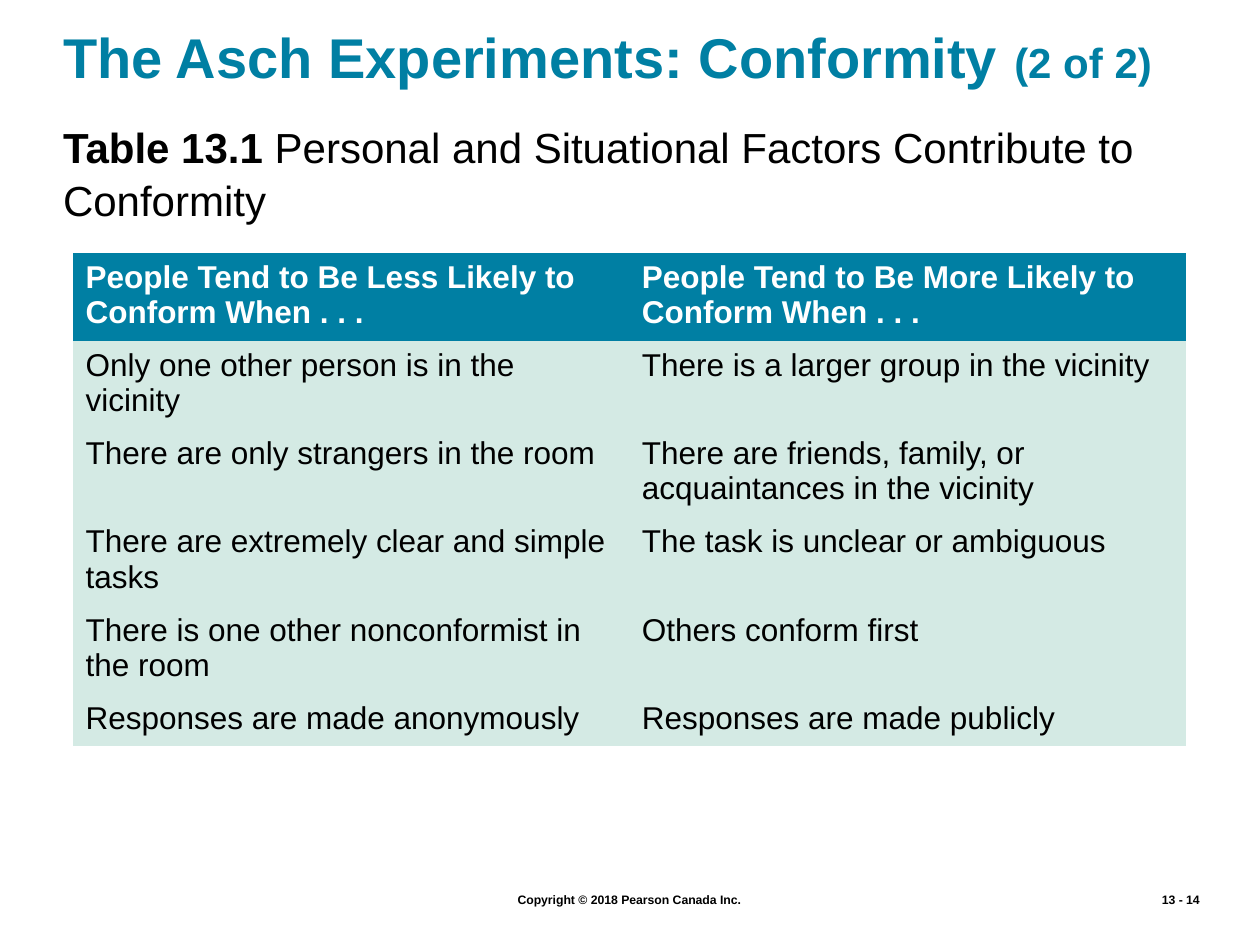
from lxml import etree
from pptx import Presentation
from pptx import util as u
from pptx.dml.color import RGBColor
from pptx.enum import text
from pptx.oxml.ns import qn

THEME = {
    "font": "Arial",
    "teal": "007FA3", "mint": "D4EAE4", "ink": "000000", "paper": "FFFFFF",
    "title": 32, "part": 24, "caption": 24, "cell": 18, "footer": 7,
    "plain_table": "{2D5ABB26-0587-4C30-8999-92F81FD0307C}",
}

TITLE = [("The Asch Experiments: Conformity ", "title", "teal", True),
         ("(2 of 2)", "part", "teal", True)]
CAPTION = [("Table 13.1 ", "caption", "ink", True),
           ("Personal and Situational Factors Contribute to Conformity", "caption", "ink", False)]
FACTORS = [
    ("People Tend to Be Less Likely to Conform When . . .",
     "People Tend to Be More Likely to Conform When . . ."),
    ("Only one other person is in the vicinity",
     "There is a larger group in the vicinity"),
    ("There are only strangers in the room",
     "There are friends, family, or acquaintances in the vicinity"),
    ("There are extremely clear and simple tasks",
     "The task is unclear or ambiguous"),
    ("There is one other nonconformist in the room",
     "Others conform first"),
    ("Responses are made anonymously",
     "Responses are made publicly"),
]
FOOTERS = [
    ("Copyright © 2018 Pearson Canada Inc.", (1.08, 7.03, 7.83, 0.22), text.PP_ALIGN.CENTER),
    ("13 - 14", (8.62, 7.03, 1, 0.22), text.PP_ALIGN.RIGHT),
]
TABLE_AT = (0.58, 2.01, 8.83)
ROW_HEIGHT = 0.41


def color(name):
    return RGBColor.from_string(THEME[name])


def add_runs(paragraph, runs):
    for words, size, ink, bold in runs:
        run = paragraph.add_run()
        run.text = words
        run.font.name = THEME["font"]
        run.font.size = u.Pt(THEME[size])
        run.font.bold = bold
        run.font.color.rgb = color(ink)


def fill_placeholder(holder, at, runs, anchor):
    holder.left, holder.top, holder.width, holder.height = map(u.Inches, at)
    frame = holder.text_frame
    frame.word_wrap = True
    frame.auto_size = text.MSO_AUTO_SIZE.NONE
    frame.vertical_anchor = anchor
    frame.margin_left = frame.margin_top = frame.margin_right = frame.margin_bottom = 0
    paragraph = frame.paragraphs[0]
    paragraph.alignment = text.PP_ALIGN.LEFT
    paragraph.space_before = u.Pt(0)
    add_runs(paragraph, runs)
    return paragraph


def add_footer(slide, words, at, align):
    frame = slide.shapes.add_textbox(*map(u.Inches, at)).text_frame
    frame.word_wrap = True
    frame.paragraphs[0].alignment = align
    add_runs(frame.paragraphs[0], [(words, "footer", "ink", True)])


def add_factors(slide):
    left, top, width = TABLE_AT
    rows, columns = len(FACTORS), len(FACTORS[0])
    factors = slide.shapes.add_table(
        rows, columns, u.Inches(left), u.Inches(top),
        u.Inches(width), u.Inches(ROW_HEIGHT * rows)).table
    factors.horz_banding = False
    factors._tbl.tblPr.find(qn("a:tableStyleId")).text = THEME["plain_table"]
    for row, entries in enumerate(FACTORS):
        header = row == 0
        for column, words in enumerate(entries):
            cell = factors.cell(row, column)
            cell.fill.solid()
            cell.fill.fore_color.rgb = color("teal" if header else "mint")
            add_runs(cell.text_frame.paragraphs[0],
                     [(words, "cell", "paper" if header else "ink", header)])


def main():
    deck = Presentation()
    deck.slide_width, deck.slide_height = u.Inches(10), u.Inches(7.5)
    slide = deck.slides.add_slide(deck.slide_layouts[1])
    for footer in FOOTERS:
        add_footer(slide, *footer)
    fill_placeholder(slide.shapes.title, (0.5, 0.06, 9, 0.77), TITLE, text.MSO_ANCHOR.MIDDLE)
    caption = fill_placeholder(slide.placeholders[1], (0.5, 0.95, 9, 0.89),
                               CAPTION, text.MSO_ANCHOR.TOP)
    caption.line_spacing = 1.04
    properties = caption._p.get_or_add_pPr()
    properties.set("marL", "0")
    properties.set("indent", "0")
    etree.SubElement(properties, qn("a:buNone"))
    add_factors(slide)
    deck.save("out.pptx")


if __name__ == "__main__":
    main()
